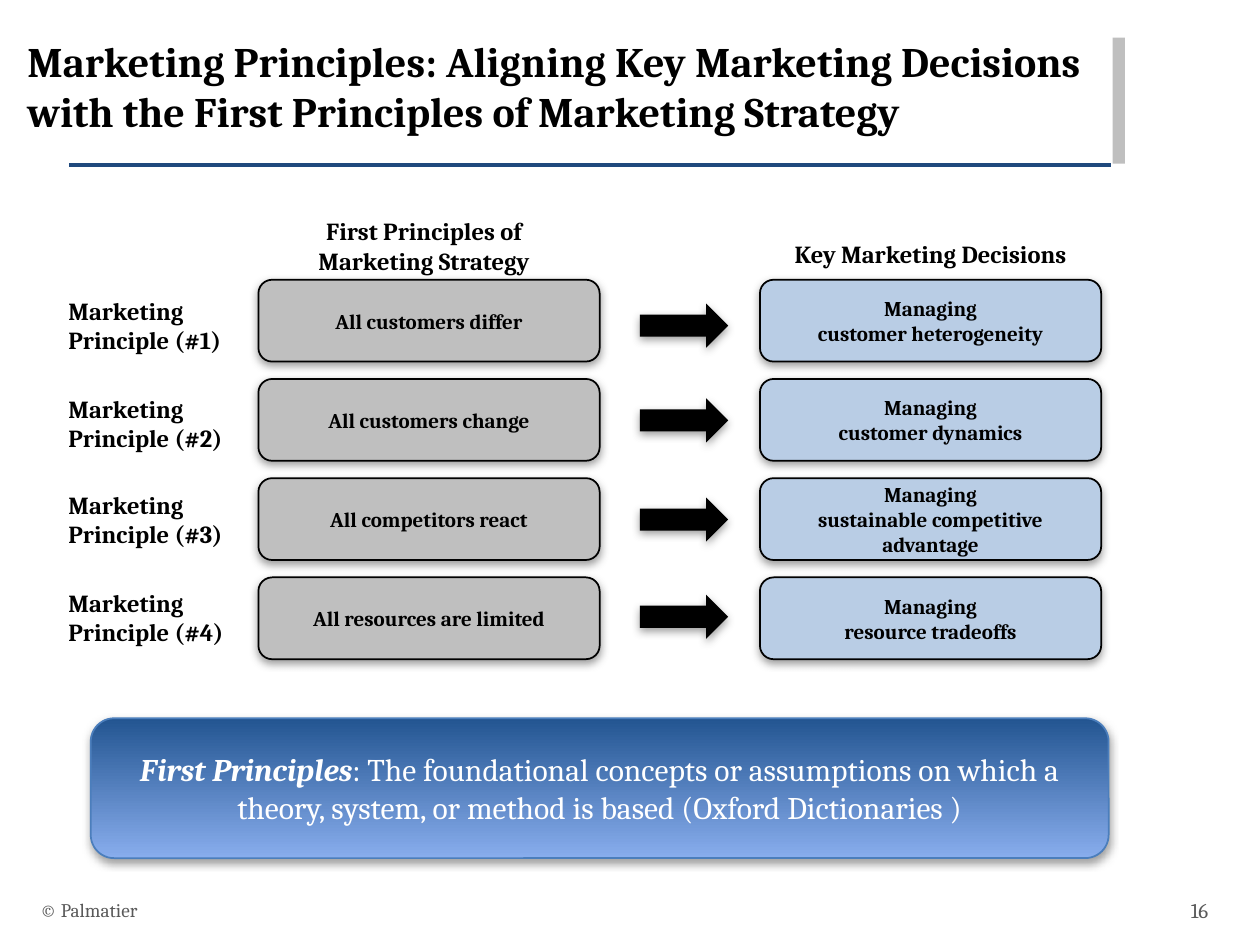
from dataclasses import dataclass

from lxml.etree import SubElement
from pptx import Presentation
from pptx.dml.color import RGBColor
from pptx.enum.shapes import MSO_CONNECTOR, MSO_SHAPE
from pptx.enum.text import MSO_ANCHOR, MSO_AUTO_SIZE, PP_ALIGN
from pptx.oxml.ns import qn
from pptx.util import Cm, Pt

FONT = "Cambria"
BLACK, GREY, BLUE, WHITE, DIM = "000000", "BFBFBF", "B9CDE5", "FFFFFF", "595959"
LEFT, RIGHT = 5.21, 15.32
BOX_W, BOX_H = 6.88, 1.65
TOP, PITCH = 5.64, 2.0


@dataclass
class Area:
    x: float
    y: float
    w: float
    h: float

    def place(self) -> tuple:
        return Cm(self.x), Cm(self.y), Cm(self.w), Cm(self.h)


@dataclass
class Style:
    size: float
    color: str = BLACK
    bold: bool = True
    align: PP_ALIGN = PP_ALIGN.CENTER
    anchor: MSO_ANCHOR = MSO_ANCHOR.MIDDLE


@dataclass
class Row:
    cause: str
    choice: str
    label_y: float
    arrow_y: float


ROWS = [
    Row("All customers differ", "Managing\ncustomer heterogeneity", 5.84, 6.12),
    Row("All customers change", "Managing\ncustomer dynamics", 7.82, 8.03),
    Row("All competitors react", "Managing\nsustainable competitive advantage", 9.75, 10.03),
    Row("All resources are limited", "Managing\nresource tradeoffs", 11.73, 11.99),
]

HEAD = Style(14, anchor=MSO_ANCHOR.TOP)
LABEL = Style(14, align=PP_ALIGN.LEFT, anchor=MSO_ANCHOR.TOP)
BOX = Style(12)


def rgb(code: str) -> RGBColor:
    return RGBColor.from_string(code)


def write(shape, text: str, style: Style) -> None:
    frame = shape.text_frame
    frame.text = text
    frame.word_wrap = True
    frame.auto_size = MSO_AUTO_SIZE.NONE
    frame.vertical_anchor = style.anchor
    for para in frame.paragraphs:
        para.alignment = style.align
        for run in para.runs:
            font = run.font
            font.name, font.size, font.bold = FONT, Pt(style.size), style.bold
            font.color.rgb = rgb(style.color)


def add_text(slide, area: Area, text: str, style: Style) -> None:
    write(slide.shapes.add_textbox(*area.place()), text, style)


def add_shade(shape) -> None:
    shape.shadow.inherit = False
    effects = shape._element.spPr.find(qn("a:effectLst"))
    outer = SubElement(effects, qn("a:outerShdw"), blurRad=str(Pt(5)), dist=str(Pt(2)),
                       dir="5400000", rotWithShape="0")
    color = SubElement(outer, qn("a:srgbClr"), val="808080")
    SubElement(color, qn("a:alpha"), val="75000")


def add_block(slide, kind: MSO_SHAPE, area: Area, fill: str, line: str = "", shade: bool = True):
    shape = slide.shapes.add_shape(kind, *area.place())
    shape.fill.solid()
    shape.fill.fore_color.rgb = rgb(fill)
    if line:
        shape.line.color.rgb = rgb(line)
        shape.line.width = Pt(1)
    else:
        shape.line.fill.background()
    if shade:
        add_shade(shape)
    else:
        shape.shadow.inherit = False
    return shape


def add_frame(slide) -> None:
    rule = slide.shapes.add_connector(MSO_CONNECTOR.STRAIGHT, Cm(1.4), Cm(3.33), Cm(22.4), Cm(3.33))
    rule.line.color.rgb = rgb("1F497D")
    rule.line.width = Pt(2)
    SubElement(rule._element.spPr, qn("a:effectLst"))
    add_block(slide, MSO_SHAPE.RECTANGLE, Area(22.43, 0.76, 0.25, 2.54), GREY, shade=False)

    title = slide.shapes.title
    title.left, title.top, title.width, title.height = Area(0.3, 0.58, 23.55, 2.24).place()
    write(title, "Marketing Principles: Aligning Key Marketing Decisions "
          "with the First Principles of Marketing Strategy",
          Style(24, align=PP_ALIGN.LEFT, anchor=MSO_ANCHOR.TOP))

    add_text(slide, Area(0.56, 17.83, 17.02, 1.02), "© Palmatier",
             Style(11, DIM, False, PP_ALIGN.LEFT))
    add_text(slide, Area(23.06, 17.83, 1.55, 1.02), "16", Style(12, DIM, False, PP_ALIGN.RIGHT))


def add_row(slide, index: int, row: Row) -> None:
    y = TOP + index * PITCH
    for x, fill, text in ((LEFT, GREY, row.cause), (RIGHT, BLUE, row.choice)):
        box = add_block(slide, MSO_SHAPE.ROUNDED_RECTANGLE, Area(x, y, BOX_W, BOX_H), fill, BLACK)
        write(box, text, BOX)
    add_text(slide, Area(1.13, row.label_y, 4.06, 1.45), f"Marketing Principle (#{index + 1})", LABEL)
    add_block(slide, MSO_SHAPE.RIGHT_ARROW, Area(12.9, row.arrow_y, 1.78, 0.89), BLACK)


def add_banner(slide) -> None:
    banner = add_block(slide, MSO_SHAPE.ROUNDED_RECTANGLE,
                       Area(1.83, 14.48, 20.52, 2.82), BLUE, "4B7EBC")
    banner.fill.gradient()
    banner.fill.gradient_angle = 270
    for stop, code in zip(banner.fill.gradient_stops, ("235591", "88ADED")):
        stop.color.rgb = rgb(code)
    write(banner, "First Principles", Style(18, WHITE))
    para = banner.text_frame.paragraphs[0]
    para.runs[0].font.italic = True
    rest = para.add_run()
    rest.text = (": The foundational concepts or assumptions on which a theory, "
                 "system, or method is based (Oxford Dictionaries )")
    rest.font.name, rest.font.size, rest.font.bold = FONT, Pt(18), False
    rest.font.color.rgb = rgb(WHITE)


def main() -> None:
    deck = Presentation()
    deck.slide_width, deck.slide_height = Cm(25.4), Cm(19.05)
    slide = deck.slides.add_slide(deck.slide_layouts[5])
    add_frame(slide)
    add_text(slide, Area(5.16, 4.24, 6.78, 1.45), "First Principles of Marketing Strategy", HEAD)
    add_text(slide, Area(RIGHT, 4.7, BOX_W, 0.86), "Key Marketing Decisions", HEAD)
    for index, row in enumerate(ROWS):
        add_row(slide, index, row)
    add_banner(slide)
    deck.save("out.pptx")


if __name__ == "__main__":
    main()
